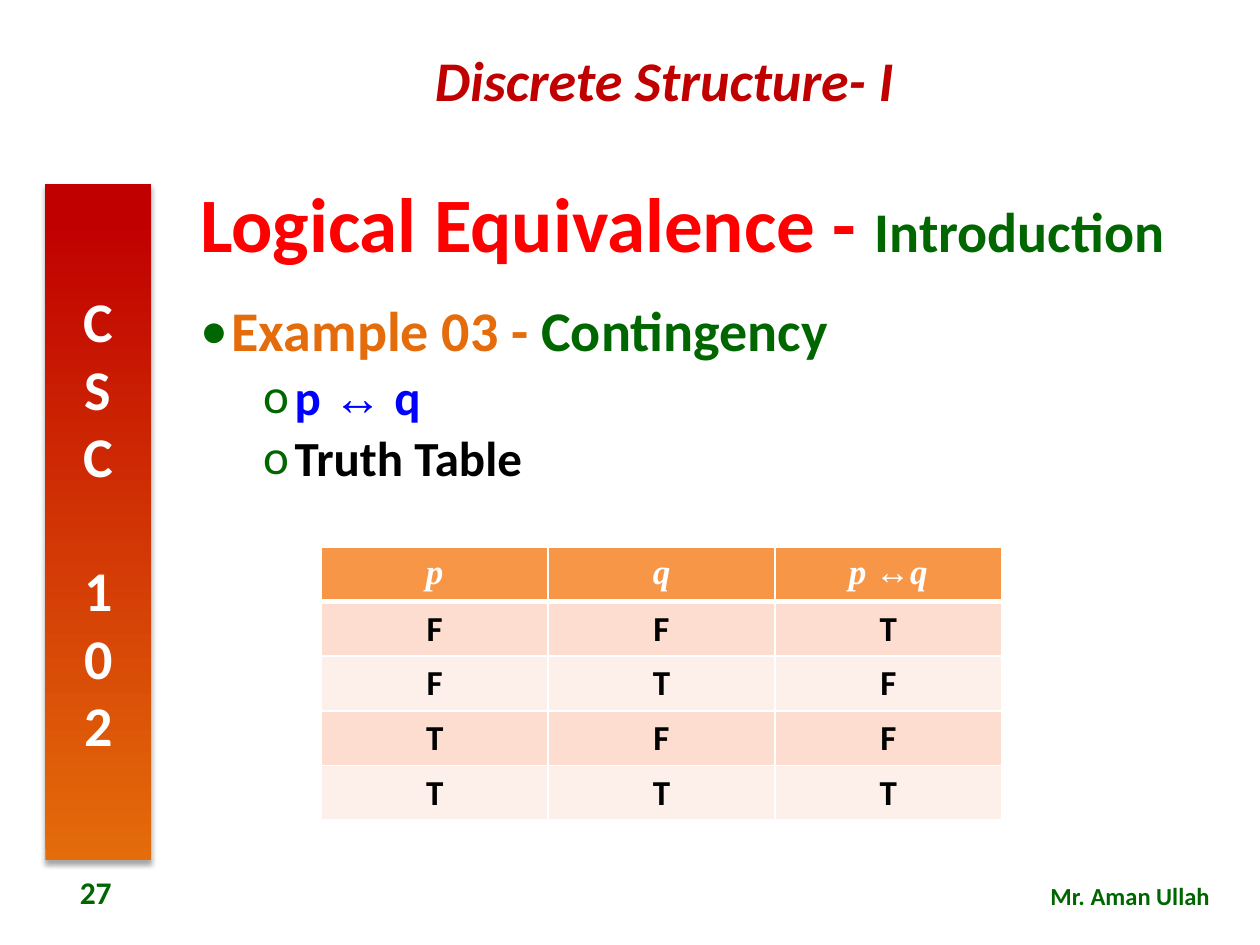
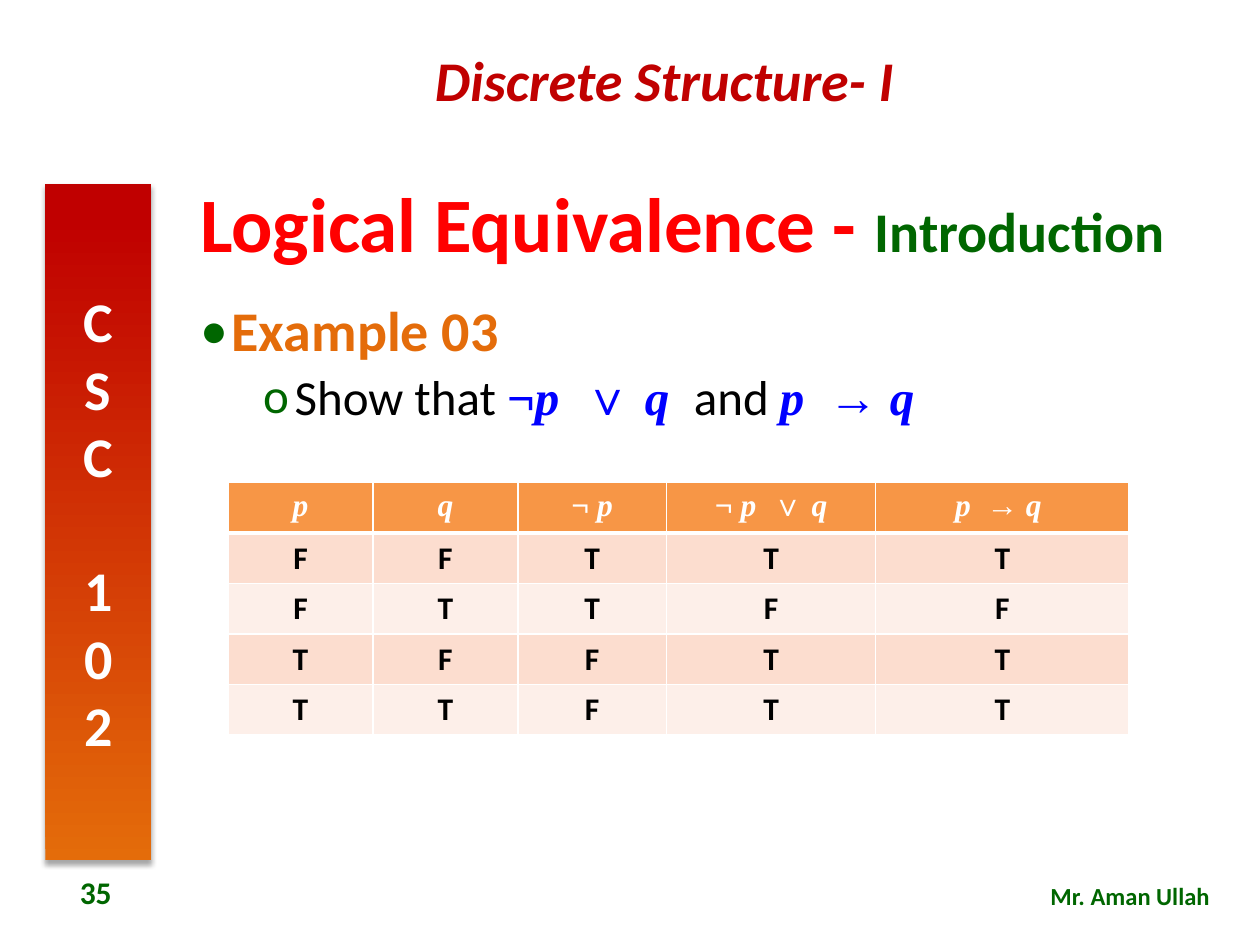
from itertools import groupby

from lxml import etree
from pptx import Presentation
from pptx import util as u
from pptx.dml.color import RGBColor
from pptx.enum import shapes, text
from pptx.oxml import parse_xml
from pptx.oxml.ns import nsdecls, qn

COLORS = {
    "crimson": "C00000", "red": "FF0000", "orange": "E46C0A", "green": "006600",
    "blue": "0000FF", "black": "000000", "white": "FFFFFF",
    "header": "F79646", "band_dark": "FCDDCF", "band_light": "FDEFE9",
}
SANS, SERIF = "Calibri", "Times New Roman"
ALIGN, ANCHOR = text.PP_ALIGN, text.MSO_ANCHOR


def rgb(name):
    return RGBColor.from_string(COLORS[name])


def run(words, size, color, font=SANS, bold=True, italic=False):
    return words, size, color, font, bold, italic


def formula(words, size, color):
    """Serif runs with the variables in italics and the operators upright."""
    return [run("".join(chars), size, color, SERIF, italic=is_variable)
            for is_variable, chars in groupby(words, lambda ch: ch in "pq ")]


class Deck:
    def __init__(self):
        self.prs = Presentation()
        self.prs.slide_width, self.prs.slide_height = u.Inches(10), u.Inches(7.5)
        self.s = None

    def add_runs(self, p, runs, align=ALIGN.LEFT):
        p.alignment = align
        for words, size, color, font, bold, italic in runs:
            r = p.add_run()
            r.text = words
            r.font.size, r.font.name = u.Pt(size), font
            r.font.bold, r.font.italic = bold, italic
            r.font.color.rgb = rgb(color)

    def box(self, at, runs=(), align=ALIGN.LEFT, anchor=ANCHOR.TOP, spacing=None):
        sp = self.s.shapes.add_textbox(*map(u.Inches, at))
        tf = sp.text_frame
        tf.word_wrap = True
        tf.vertical_anchor = anchor
        p = tf.paragraphs[0]
        if spacing:
            p.line_spacing = spacing
        self.add_runs(p, runs, align)
        return tf

    def course_band(self):
        sp = self.s.shapes.add_shape(shapes.MSO_SHAPE.RECTANGLE,
                                     *map(u.Inches, (0.36, 1.46, 0.84, 5.37)))
        sp.line.fill.background()
        sp.fill.gradient()
        sp.fill.gradient_angle = 90
        for stop, color, position in zip(sp.fill.gradient_stops, ("orange", "crimson"), (0, 0.95)):
            stop.color.rgb = rgb(color)
            stop.position = position
        # Soft shadow below the band
        sp.shadow.inherit = False
        effects = sp.element.spPr.find(qn("a:effectLst"))
        effects.append(parse_xml(
            f'<a:outerShdw {nsdecls("a")} blurRad="{u.Pt(3.1)}" dist="{u.Pt(1.8)}" dir="5400000" '
            f'rotWithShape="0"><a:srgbClr val="{COLORS["black"]}"><a:alpha val="35000"/>'
            '</a:srgbClr></a:outerShdw>'))
        # Stacked letters
        tf = sp.text_frame
        tf.word_wrap = True
        tf.vertical_anchor = ANCHOR.TOP
        tf.auto_size = text.MSO_AUTO_SIZE.SHAPE_TO_FIT_TEXT
        tf._txBody.bodyPr.set("vert", "wordArtVert")
        self.add_runs(tf.paragraphs[0], [run("CSC 102", 32, "white")], ALIGN.CENTER)

    def new_slide(self, number):
        self.s = self.prs.slides.add_slide(self.prs.slide_layouts[6])
        self.box((2.11, 0.31, 6.33, 0.64),
                 [run("Discrete Structure- I", 32, "crimson", italic=True)], ALIGN.CENTER)
        self.course_band()
        self.box((6.8, 6.94, 2.9, 0.34), [run("Mr. Aman Ullah", 14, "green")], ALIGN.RIGHT)
        self.box((1.49, 1.36, 8.39, 0.89),
                 [run("Logical Equivalence - ", 44, "red"), run("Introduction", 32, "green")],
                 anchor=ANCHOR.MIDDLE, spacing=0.9)
        self.box((0.24, 6.88, 1.04, 0.4), [run(str(number), 18, "green")],
                 ALIGN.CENTER, ANCHOR.MIDDLE)

    def bullets(self, heading, *points):
        tf = self.box((1.49, 2.36, 8.39, 4.4))
        for i, runs in enumerate((heading, *points)):
            p = tf.add_paragraph() if i else tf.paragraphs[0]
            p.level = 1 if i else 0
            p.line_spacing = 0.9
            p.space_before = u.Pt(5 if i else 0)
            pPr = p._p.get_or_add_pPr()
            pPr.set("marL", str(u.Inches(0.75 if i else 0.25)))
            pPr.set("indent", str(u.Inches(-0.25)))
            color = etree.SubElement(pPr, qn("a:buClr"))
            etree.SubElement(color, qn("a:srgbClr"), val=COLORS["green"])
            etree.SubElement(pPr, qn("a:buFont"), typeface=SANS)
            etree.SubElement(pPr, qn("a:buChar"), char="o" if i else "•")
            self.add_runs(p, runs, ALIGN.JUSTIFY)

    def cell_borders(self, cell, top, bottom):
        tcPr = cell._tc.get_or_add_tcPr()
        for i, (side, width) in enumerate(zip("LRTB", (1, 1, top, bottom))):
            tcPr.insert(i, parse_xml(
                f'<a:ln{side} {nsdecls("a")} w="{u.Pt(width)}"><a:solidFill>'
                f'<a:srgbClr val="{COLORS["white"]}"/></a:solidFill></a:ln{side}>'))

    def truth_table(self, left, top, widths, row_height, size, headers, rows):
        count = len(rows) + 1
        table = self.s.shapes.add_table(
            count, len(widths), *map(u.Inches, (left, top, sum(widths), row_height * count))).table
        table.first_row = table.horz_banding = False
        for column, width in zip(table.columns, widths):
            column.width = u.Inches(width)
        for i, values in enumerate((headers, *rows)):
            table.rows[i].height = u.Inches(row_height)
            fill = ("band_dark" if i % 2 else "band_light") if i else "header"
            for j, value in enumerate(values):
                cell = table.cell(i, j)
                cell.fill.solid()
                cell.fill.fore_color.rgb = rgb(fill)
                self.cell_borders(cell, 3 if i == 1 else 1, 1 if i else 3)
                runs = [run(value, size, "black")] if i else formula(value, size, "white")
                self.add_runs(cell.text_frame.paragraphs[0], runs, ALIGN.CENTER)


def main():
    deck = Deck()

    # Contingency
    deck.new_slide(27)
    deck.bullets(
        [run("Example 03 - ", 32, "orange"), run("Contingency", 32, "green")],
        [run("p", 28, "blue"), run(" ↔ ", 28, "blue", SERIF), run("q", 28, "blue")],
        [run("Truth Table", 28, "black")])
    deck.truth_table(2.55, 4.34, [1.8] * 3, 0.41, 20,
                     ["p", "q", "p ↔q"], ["FFT", "FTF", "TFF", "TTT"])

    # Equivalence of ¬p ∨ q and p → q
    deck.new_slide(35)
    deck.bullets(
        [run("Example 03 ", 32, "orange")],
        [run("Show that ", 28, "black", bold=False), *formula("¬p  ∨ q  ", 28, "blue"),
         run("and ", 28, "black", bold=False), *formula("p  → q", 28, "blue")])
    deck.truth_table(1.81, 3.83, [1.15, 1.15, 1.18, 1.66, 2.01], 0.4, 18,
                     ["p", "q", "¬ p", "¬ p  ∨ q", "p  → q "],
                     ["FFTTT", "FTTFF", "TFFTT", "TTFTT"])

    deck.prs.save("out.pptx")


if __name__ == "__main__":
    main()
